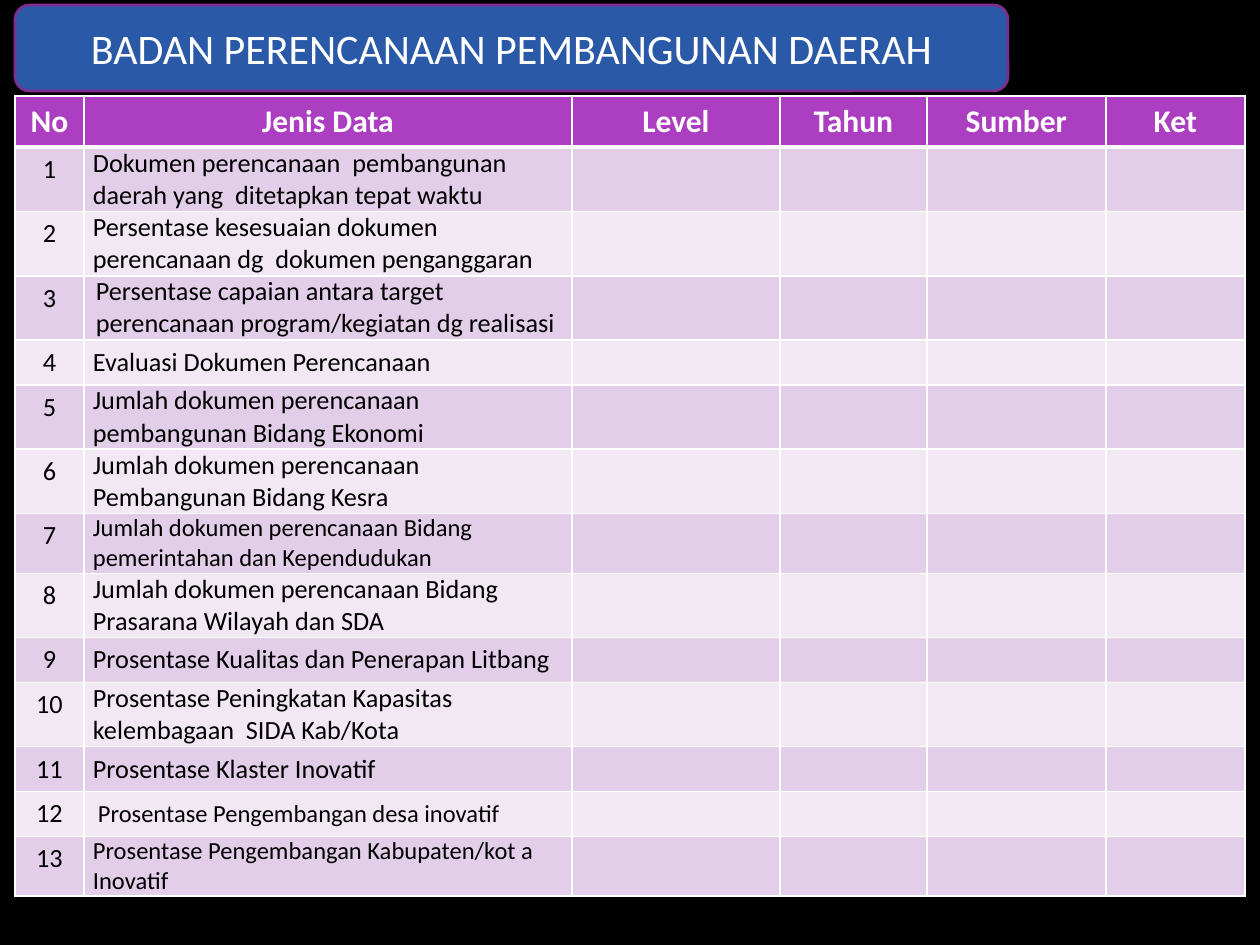
import pptx
import pptx.util
import pptx.dml.color
import pptx.enum.shapes
import pptx.enum.text
import pptx.oxml.ns
from lxml import etree

SCALE = 914400 // 126  # EMU in one px
FONT = "Calibri"
COLORS = {
    "background": "000000",
    "title": "2A59A8",
    "title_line": "7F2E8F",
    "header": "AC3EC1",
    "odd": "E3CEE9",
    "even": "F1E8F4",
    "white": "FFFFFF",
    "black": "000000",
}
ALIGN = pptx.enum.text.PP_ALIGN
ANCHOR = pptx.enum.text.MSO_ANCHOR

HEADERS = ["No", "Jenis Data", "Level", "Tahun", "Sumber", "Ket"]
COLUMN_WIDTHS = [69, 488, 208, 147, 179, 139]
HEADER_HEIGHT, ROW_HEIGHT = 45, 42

# Each entry: text, size in points, extra cell format
INDICATORS = [
    ("Dokumen perencanaan  pembangunan daerah yang  ditetapkan tepat waktu", 15, {}),
    ("Persentase kesesuaian dokumen perencanaan dg  dokumen penganggaran", 15, {}),
    ("Persentase capaian antara target perencanaan program/kegiatan dg realisasi", 15,
     {"margin_left": 12, "margin_right": 0, "vertical_anchor": ANCHOR.TOP}),
    ("Evaluasi Dokumen Perencanaan", 15, {}),
    ("Jumlah dokumen perencanaan pembangunan Bidang Ekonomi", 15, {}),
    ("Jumlah dokumen perencanaan Pembangunan Bidang Kesra", 15, {}),
    ("Jumlah dokumen perencanaan Bidang pemerintahan dan Kependudukan", 14, {}),
    ("Jumlah dokumen perencanaan Bidang Prasarana Wilayah dan SDA", 15, {}),
    ("Prosentase Kualitas dan Penerapan Litbang", 15, {}),
    ("Prosentase Peningkatan Kapasitas kelembagaan  SIDA Kab/Kota", 15, {}),
    ("Prosentase Klaster Inovatif", 15, {}),
    ("Prosentase Pengembangan desa inovatif", 14, {"margin_left": 14}),
    ("Prosentase Pengembangan Kabupaten/kot a Inovatif", 14, {}),
]
INDICATOR_FORMAT = {"margin_left": 9, "margin_right": 9, "margin_top": 0,
                    "margin_bottom": 0, "vertical_anchor": ANCHOR.MIDDLE}


def px(n):
    return pptx.util.Emu(n * SCALE)


def rgb(name):
    return pptx.dml.color.RGBColor.from_string(COLORS[name])


def paint(fill, color):
    fill.solid()
    fill.fore_color.rgb = rgb(color)


def write(tf, text, size, color, align=ALIGN.CENTER, bold=False):
    p = tf.paragraphs[0]
    p.alignment = align
    r = p.add_run()
    r.text = text
    values = {"name": FONT, "size": pptx.util.Pt(size), "bold": bold}
    for key, value in values.items():
        setattr(r.font, key, value)
    r.font.color.rgb = rgb(color)


def add_title(s, text):
    sp = s.shapes.add_shape(pptx.enum.shapes.MSO_SHAPE.ROUNDED_RECTANGLE,
                            px(15), px(5), px(993), px(86))
    sp.shadow.inherit = False
    paint(sp.fill, "title")
    sp.line.color.rgb = rgb("title_line")
    sp.line.width = pptx.util.Pt(1.5)
    sp.text_frame.vertical_anchor = ANCHOR.MIDDLE
    write(sp.text_frame, text, 24, "white")


def set_borders(cell, top=1, bottom=1):
    tc_pr = cell._tc.get_or_add_tcPr()
    qn = pptx.oxml.ns.qn
    for side, width in (("L", 1), ("R", 1), ("T", top), ("B", bottom)):
        ln = etree.SubElement(tc_pr, qn("a:ln" + side), w=str(pptx.util.Pt(width)))
        fill = etree.SubElement(ln, qn("a:solidFill"))
        etree.SubElement(fill, qn("a:srgbClr"), val=COLORS["white"])


def format_cell(cell, values):
    for key, value in values.items():
        setattr(cell, key, px(value) if key.startswith("margin") else value)


def size_empty_cell(cell, size):
    p = cell.text_frame.paragraphs[0]
    etree.SubElement(p._p, pptx.oxml.ns.qn("a:endParaRPr"), sz=str(size * 100))


def add_indicator_table(s):
    n_rows, n_cols = len(INDICATORS) + 1, len(HEADERS)
    height = HEADER_HEIGHT + ROW_HEIGHT * len(INDICATORS)
    table = s.shapes.add_table(n_rows, n_cols, px(15), px(96),
                               px(sum(COLUMN_WIDTHS)), px(height)).table
    for column, width in zip(table.columns, COLUMN_WIDTHS):
        column.width = px(width)
    for i, row in enumerate(table.rows):
        row.height = px(ROW_HEIGHT if i else HEADER_HEIGHT)

    # Header row, with a thick rule below
    for j, text in enumerate(HEADERS):
        cell = table.cell(0, j)
        set_borders(cell, bottom=3)
        paint(cell.fill, "header")
        write(cell.text_frame, text, 18, "white", bold=True)

    # Numbered rows in alternating bands
    for i, (text, size, extra) in enumerate(INDICATORS, 1):
        cells = [table.cell(i, j) for j in range(n_cols)]
        for cell in cells:
            set_borders(cell, top=3 if i == 1 else 1)
            paint(cell.fill, "odd" if i % 2 else "even")
        number, indicator, *empty = cells
        write(number.text_frame, str(i), 15, "black")
        format_cell(indicator, {**INDICATOR_FORMAT, **extra})
        write(indicator.text_frame, text, size, "black", ALIGN.LEFT)
        for cell in empty:
            size_empty_cell(cell, 15)


def main():
    prs = pptx.Presentation()
    prs.slide_width, prs.slide_height = px(1260), px(945)
    s = prs.slides.add_slide(prs.slide_layouts[6])
    paint(s.background.fill, "background")
    add_title(s, "BADAN PERENCANAAN PEMBANGUNAN DAERAH")
    add_indicator_table(s)
    prs.save("out.pptx")


if __name__ == "__main__":
    main()
